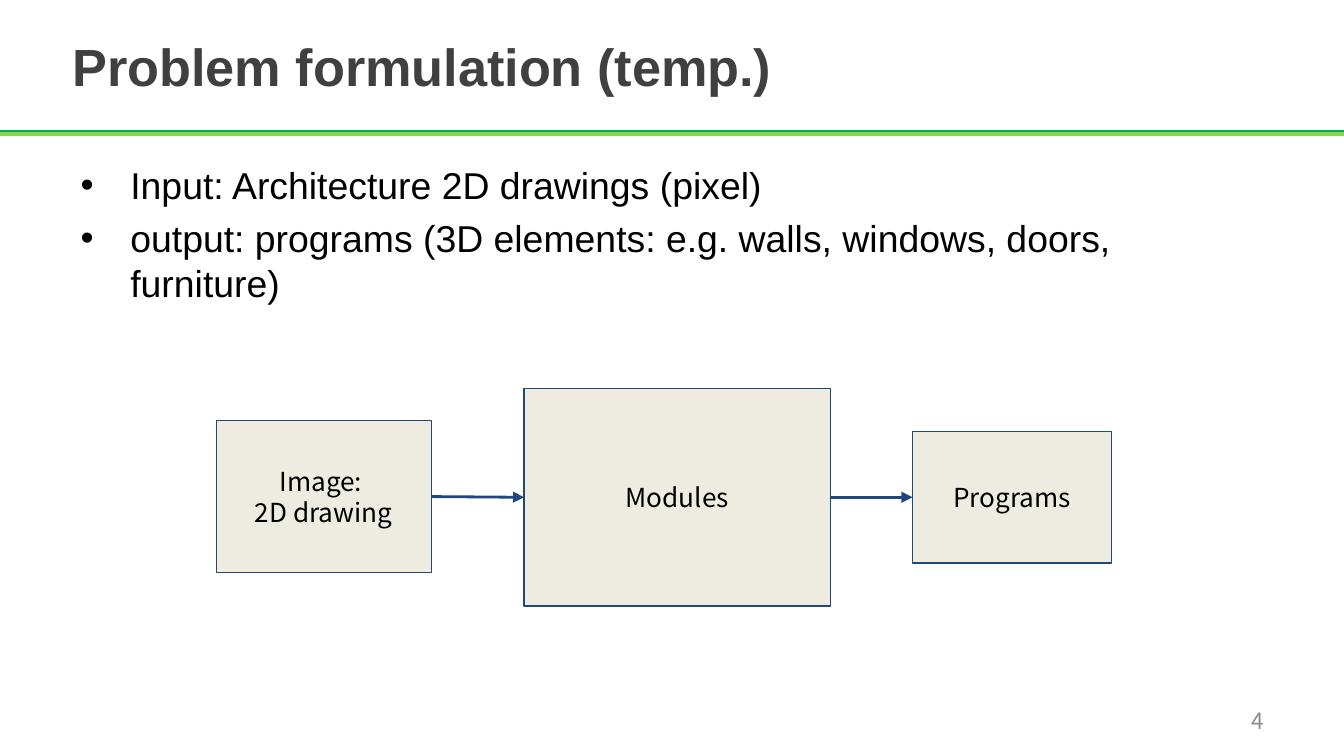
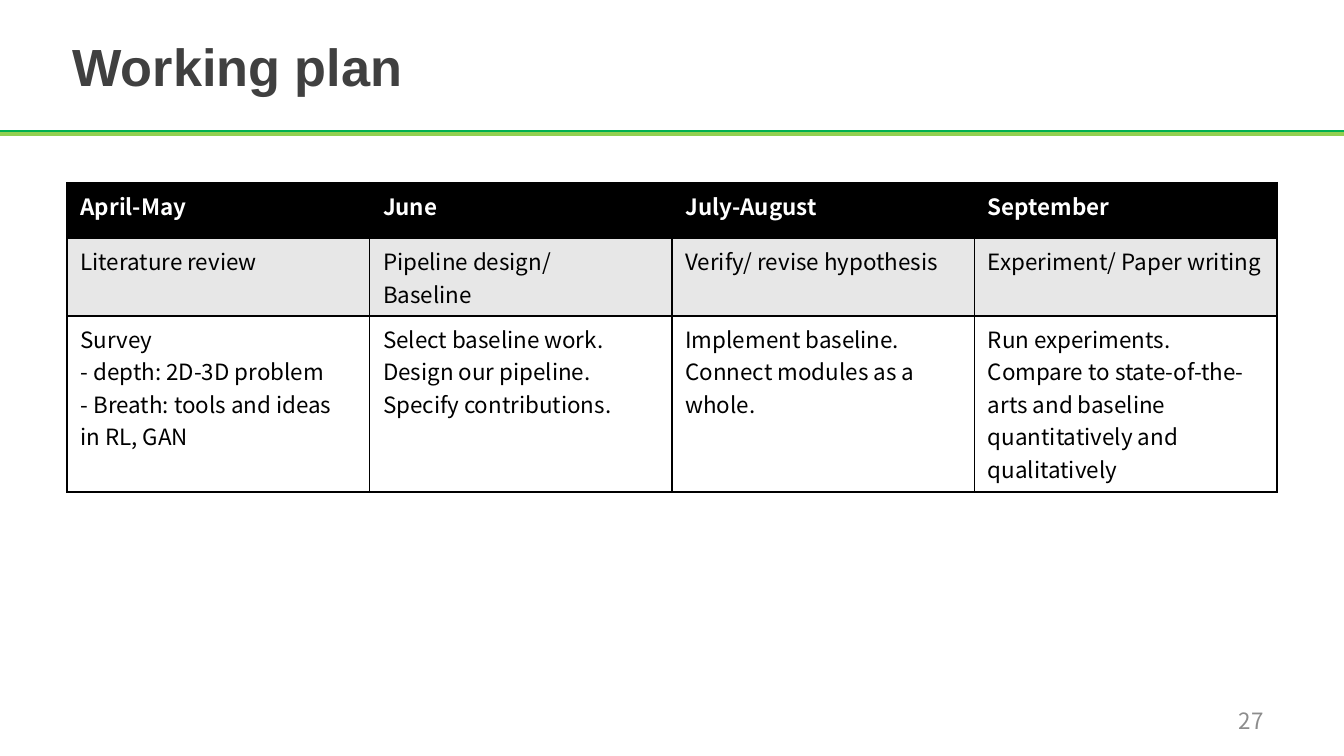
from lxml.etree import SubElement
from pptx import Presentation
from pptx.dml.color import RGBColor
from pptx.enum.shapes import MSO_CONNECTOR, MSO_SHAPE
from pptx.enum.text import MSO_ANCHOR, MSO_AUTO_SIZE, PP_ALIGN
from pptx.oxml.ns import qn
from pptx.util import Inches, Pt

COLORS = {
    "title": "404040", "text": "000000", "number": "8C8C8C",
    "band_dark": "00B050", "band_light": "92D050",
    "box": "EEECE1", "outline": "1F497D",
    "header": "000000", "header_text": "FFFFFF",
    "stripe": "E7E7E7", "plain": "FFFFFF", "border": "000000",
}
HEAD_FONT, BODY_FONT = "Arial", "Noto Sans CJK KR"

# Content
BULLETS = [
    "Input: Architecture 2D drawings (pixel)",
    "output: programs (3D elements: e.g. walls, windows, doors, furniture)",
]
# Flow boxes: lines, left, top, width, height
FLOW = [
    (["Image: ", "2D drawing"], 1.61, 3.13, 1.6, 1.13),
    (["Modules"], 3.9, 2.89, 2.28, 1.62),
    (["Programs"], 6.79, 3.21, 1.48, 0.98),
]
PLAN = [
    [["April-May"], ["June"], ["July-August"], ["September"]],
    [["Literature review"], ["Pipeline design/", "Baseline"],
     ["Verify/ revise hypothesis"], ["Experiment/ Paper writing"]],
    [["Survey", "- depth: 2D-3D problem", "- Breath: tools and ideas in RL, GAN"],
     ["Select baseline work.", "Design our pipeline.", "Specify contributions."],
     ["Implement baseline.", "Connect modules as a whole."],
     ["Run experiments. Compare to state-of-the-arts and baseline "
      "quantitatively and qualitatively"]],
]
# Height, fill, text colour and bold for each table row
ROW_STYLES = [(0.41, "header", "header_text", True),
              (0.58, "stripe", "text", False),
              (1.31, "plain", "text", False)]


def rgb(name):
    return RGBColor.from_string(COLORS[name])


def place(sp, left, top, width, height):
    sp.left, sp.top = Inches(left), Inches(top)
    sp.width, sp.height = Inches(width), Inches(height)


def write(tf, lines, size, color, font=BODY_FONT, bold=False, align=PP_ALIGN.LEFT):
    for i, line in enumerate(lines):
        p = tf.paragraphs[0] if i == 0 else tf.add_paragraph()
        p.alignment = align
        r = p.add_run()
        r.text = line
        r.font.name, r.font.size, r.font.bold = font, Pt(size), bold
        r.font.color.rgb = rgb(color)


def add_line(s, start, end, color, width):
    c = s.shapes.add_connector(MSO_CONNECTOR.STRAIGHT, *map(Inches, start + end))
    c.line.color.rgb = rgb(color)
    c.line.width = Pt(width)
    SubElement(c._element.spPr, qn("a:effectLst"))
    return c


# Title, double band and page number shared by the slides
def add_slide(prs, layout, title, number):
    s = prs.slides.add_slide(prs.slide_layouts[layout])
    for y, color in ((0.98, "band_dark"), (1, "band_light")):
        add_line(s, (0, y), (10, y), color, 2.25)
    place(s.shapes.title, 0.44, 0, 9.29, 0.97)
    tf = s.shapes.title.text_frame
    tf.auto_size = MSO_AUTO_SIZE.NONE
    tf.vertical_anchor = MSO_ANCHOR.MIDDLE
    write(tf, [title], 28, "title", HEAD_FONT, True)
    box = s.shapes.add_textbox(*map(Inches, (7.17, 5.21, 2.33, 0.3)))
    box.text_frame.word_wrap = True
    box.text_frame.vertical_anchor = MSO_ANCHOR.MIDDLE
    write(box.text_frame, [number], 12, "number", align=PP_ALIGN.RIGHT)
    return s


def add_bullets(s, items):
    body = s.placeholders[1]
    place(body, 0.5, 1.16, 9, 3.87)
    tf = body.text_frame
    tf.auto_size = MSO_AUTO_SIZE.NONE
    write(tf, items, 20, "text", HEAD_FONT)
    for i, p in enumerate(tf.paragraphs):
        pPr = p._p.get_or_add_pPr()
        pPr.set("marL", str(Inches(0.37)))
        pPr.set("indent", str(Inches(-0.37)))
        SubElement(pPr, qn("a:buFont"), typeface=HEAD_FONT)
        SubElement(pPr, qn("a:buChar"), char="•")
        p.space_before = Pt(4 if i else 0)


def add_box(s, lines, *frame):
    sp = s.shapes.add_shape(MSO_SHAPE.RECTANGLE, *map(Inches, frame))
    sp.shadow.inherit = False
    sp.fill.solid()
    sp.fill.fore_color.rgb = rgb("box")
    sp.line.color.rgb = rgb("outline")
    sp.line.width = Pt(0.75)
    tf = sp.text_frame
    tf.word_wrap = True
    tf.vertical_anchor = MSO_ANCHOR.MIDDLE
    tf.margin_left = tf.margin_right = tf.margin_top = tf.margin_bottom = Inches(0.1)
    write(tf, lines, 14, "text", align=PP_ALIGN.CENTER)
    return sp


def add_arrow(s, source, target):
    c = add_line(s, (0, 0), (1, 0), "outline", 1.5)
    c.begin_connect(source, 3)
    c.end_connect(target, 1)
    SubElement(c.line._get_or_add_ln(), qn("a:tailEnd"), type="triangle")


def add_borders(cell):
    tcPr = cell._tc.get_or_add_tcPr()
    for side in ("lnL", "lnR", "lnT", "lnB"):
        ln = SubElement(tcPr, qn(f"a:{side}"), w=str(Pt(1)))
        fill = SubElement(ln, qn("a:solidFill"))
        SubElement(fill, qn("a:srgbClr"), val=COLORS["border"])


def add_plan(s, rows):
    total = sum(style[0] for style in ROW_STYLES)
    frame = s.shapes.add_table(len(rows), len(rows[0]), Inches(0.5), Inches(1.36),
                               Inches(9), Inches(total))
    table = frame.table
    for y, (row, (height, fill, color, bold)) in enumerate(zip(rows, ROW_STYLES)):
        table.rows[y].height = Inches(height)
        for x, lines in enumerate(row):
            cell = table.cell(y, x)
            add_borders(cell)
            cell.fill.solid()
            cell.fill.fore_color.rgb = rgb(fill)
            write(cell.text_frame, lines, 12, color, bold=bold)


def main():
    prs = Presentation()
    prs.slide_width = Inches(10)
    prs.slide_height = prs.slide_width * 9 // 16

    # Problem: bullets above a flow of boxes
    s = add_slide(prs, 1, "Problem formulation (temp.)", "4")
    add_bullets(s, BULLETS)
    boxes = [add_box(s, *item) for item in FLOW]
    for source, target in zip(boxes, boxes[1:]):
        add_arrow(s, source, target)

    # Schedule table
    s = add_slide(prs, 5, "Working plan", "27")
    add_plan(s, PLAN)

    prs.save("out.pptx")


if __name__ == "__main__":
    main()
